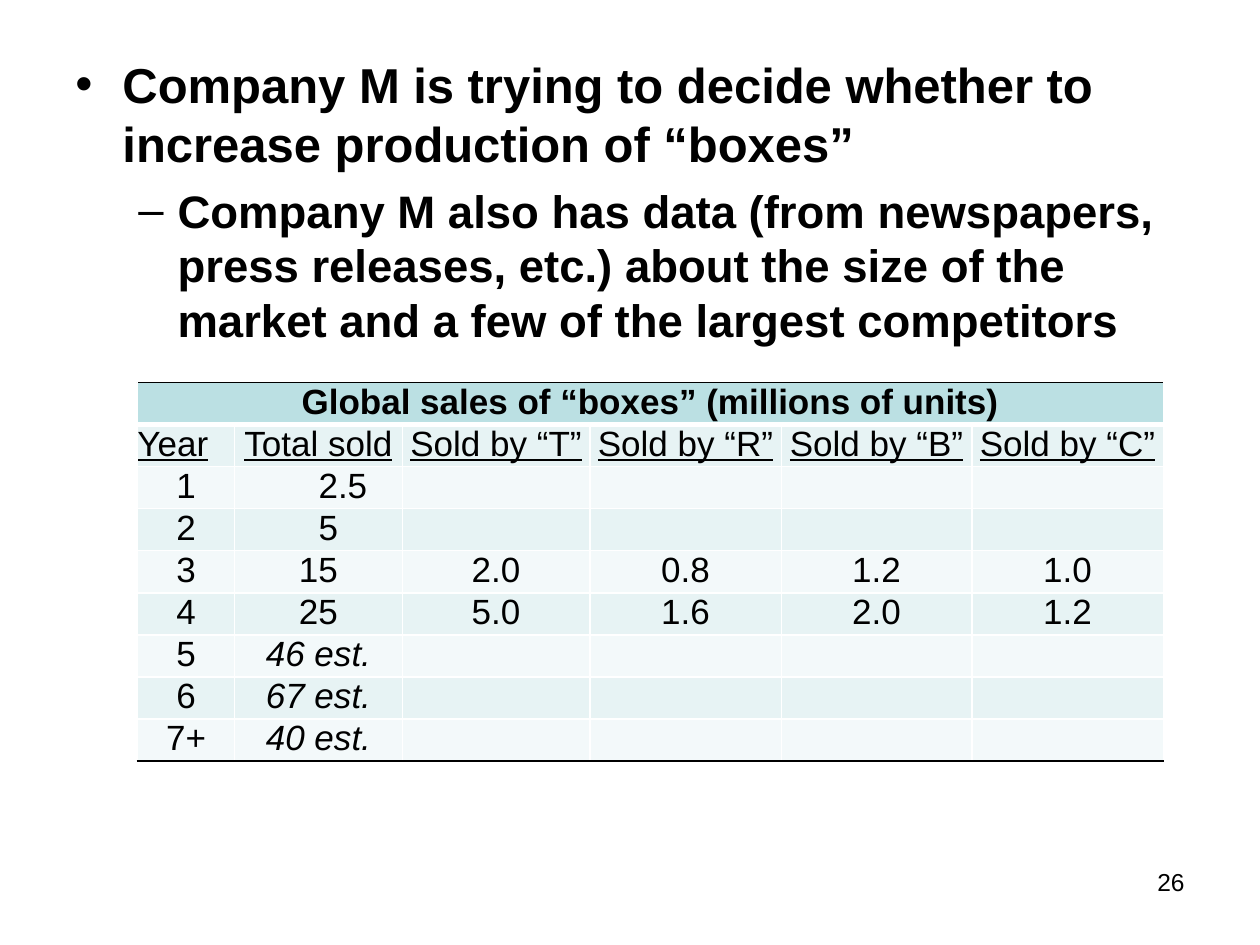
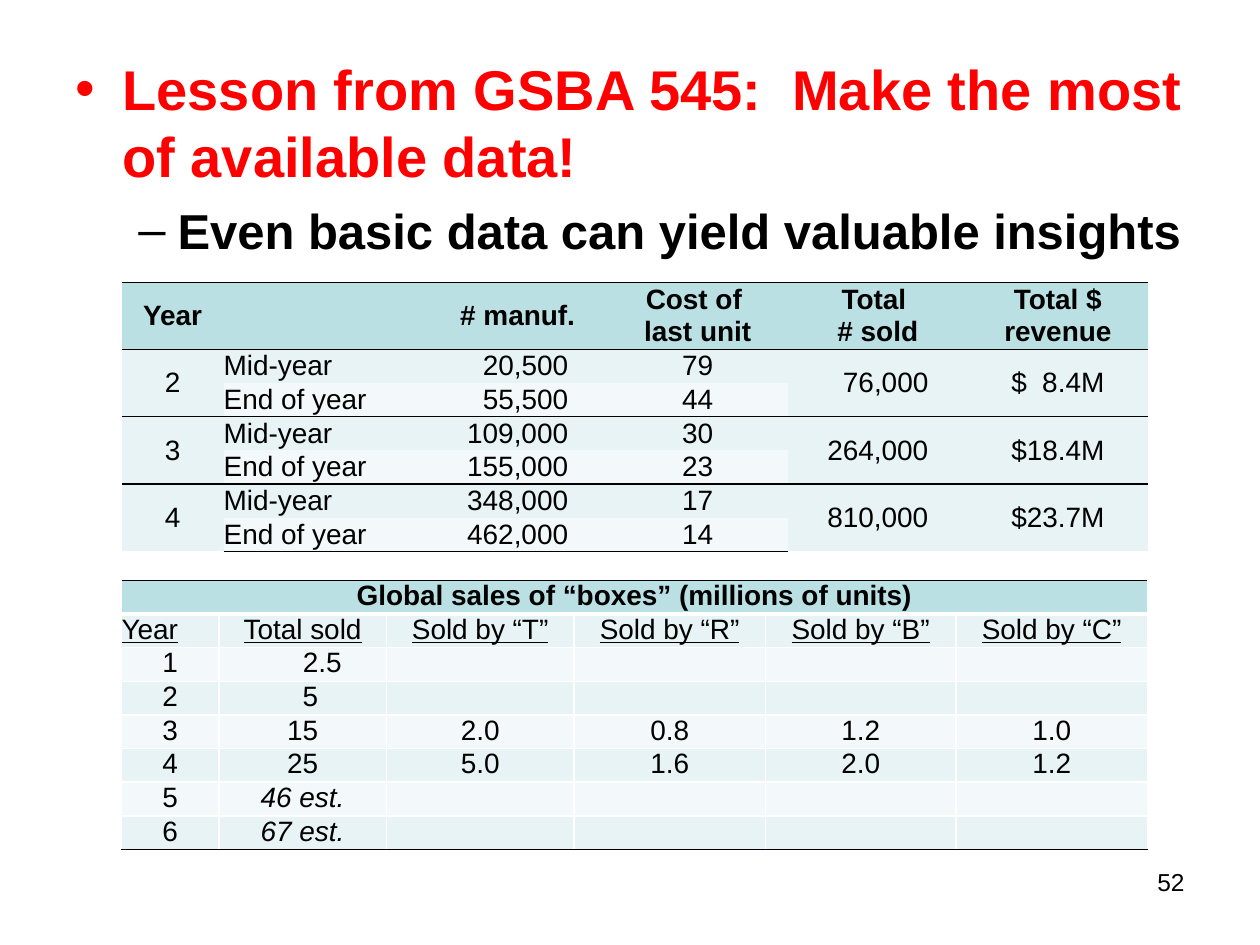
from lxml.etree import SubElement
from pptx import Presentation
from pptx.dml.color import RGBColor
from pptx.enum.text import MSO_ANCHOR as Anchor, PP_ALIGN as Align
from pptx.oxml.ns import qn
from pptx.util import Cm, Pt

FONT = "Arial"
COLOURS = {
    "text": "000000",
    "accent": "FF0000",
    "paper": "FFFFFF",
    "header": "BBE0E3",
    "band_dark": "E7F3F4",
    "band_light": "F3F9FA",
}
RULE = ("text", 1)
GRID = ("paper", 1)
THICK_GRID = ("paper", 3)
SPACE_WIDTH = 0.28   # em
LINE_CM = 0.0394     # height of a table line for each point of text

BODY_BOX = (1.27, 0.97, 22.86, 16.18)
NUMBER_BOX = (18.21, 17.35, 5.92, 1.32)
# bullet, left margin and hanging indent of each outline level
LEVELS = [("•", 0.95, 0.95), ("–", 2.06, 0.79)]

SALES_COLUMNS = [1.96, 3.38, 3.78, 3.86, 3.84, 3.86]
SALES_TITLE = "Global sales of “boxes” (millions of units)"
SALES_HEADINGS = ["Year", "Total sold"] + [f"Sold by “{firm}”" for firm in "TRBC"]
# A pair is a text and the number of space widths it is pushed right
SALES_ROWS = [
    ["1", ("2.5", 5)],
    ["2", ("5", 2)],
    ["3", "15", "2.0", "0.8", "1.2", "1.0"],
    ["4", "25", "5.0", "1.6", "2.0", "1.2"],
    ["5", "46 est."],
    ["6", "67 est."],
    ["7+", "40 est."],
]

COST_COLUMNS = [2.06, 4.11] + [3.63] * 4
COST_HEADINGS = ["Year", "", "# manuf.", "Cost of \nlast unit",
                 "Total \n# sold", "Total $ revenue"]
# year, mid-year and end-of-year (manufactured, cost), sold, revenue
COST_YEARS = [
    ("2", (("20,500", 2), "79"), (("55,500", 2), "44"), ("76,000", 2), "$  8.4M"),
    ("3", ("109,000", "30"), ("155,000", "23"), "264,000", "$18.4M"),
    ("4", ("348,000", "17"), ("462,000", "14"), "810,000", "$23.7M"),
]


def rgb(name):
    return RGBColor.from_string(COLOURS[name])


def add_run(paragraph, text, size, colour="text", bold=False, italic=False,
            underline=False):
    run = paragraph.add_run()
    run.text = text
    font = run.font
    font.name, font.size, font.bold = FONT, Pt(size), bold
    font.italic, font.underline = italic, underline
    font.color.rgb = rgb(colour)


def add_text_box(slide, box):
    shape = slide.shapes.add_textbox(*map(Cm, box))
    shape.text_frame.word_wrap = True
    return shape


def add_outline(slide, box, points):
    """Bulleted text; each point is (level, size, colour, text)."""
    shape = add_text_box(slide, box)
    shape.fill.solid()
    shape.fill.fore_color.rgb = rgb("paper")
    colour_element = shape.fill._xPr.find(".//" + qn("a:srgbClr"))
    SubElement(colour_element, qn("a:alpha"), val="90000")
    frame = shape.text_frame
    for index, (level, size, colour, text) in enumerate(points):
        paragraph = frame.add_paragraph() if index else frame.paragraphs[0]
        paragraph.level = level
        paragraph.line_spacing = Pt(round(size * 1.2, 1))
        paragraph.space_before = Pt(round(size * 0.24, 1))
        bullet, margin, hanging = LEVELS[level]
        properties = paragraph._p.get_or_add_pPr()
        properties.set("marL", str(Cm(margin)))
        properties.set("indent", str(-Cm(hanging)))
        SubElement(properties, qn("a:buFont"), typeface=FONT)
        SubElement(properties, qn("a:buChar"), char=bullet)
        add_run(paragraph, text, size, colour, bold=True)


def add_slide_number(slide, box, number):
    paragraph = add_text_box(slide, box).text_frame.paragraphs[0]
    paragraph.alignment = Align.RIGHT
    add_run(paragraph, str(number), 14)


def set_border(cell, side, border):
    """Draw one side ("L", "R", "T" or "B") as (colour, points) or leave it bare."""
    line = SubElement(cell._tc.get_or_add_tcPr(), qn(f"a:ln{side}"))
    if border is None:
        SubElement(line, qn("a:noFill"))
        return
    colour, width = border
    line.set("w", str(Pt(width)))
    fill = SubElement(line, qn("a:solidFill"))
    SubElement(fill, qn("a:srgbClr"), val=COLOURS[colour])


def add_table(slide, left, top, columns, row_heights, horizontals, vertical):
    """Banded empty table; horizontals lists the border above each row and the last."""
    frame = slide.shapes.add_table(
        len(row_heights), len(columns), Cm(left), Cm(top),
        Cm(sum(columns)), Cm(sum(row_heights)))
    table = frame.table
    table.first_row = table.horz_banding = False
    for column, width in zip(table.columns, columns):
        column.width = Cm(width)
    for index, (row, height) in enumerate(zip(table.rows, row_heights)):
        row.height = Cm(height)
        band = "band_dark" if index % 2 else "band_light"
        for cell in row.cells:
            for side, border in (("L", vertical), ("R", vertical),
                                 ("T", horizontals[index]),
                                 ("B", horizontals[index + 1])):
                set_border(cell, side, border)
            cell.fill.solid()
            cell.fill.fore_color.rgb = rgb(band if index else "header")
    return table


def fill_cell(cell, content, size, align=Align.CENTER, anchor=Anchor.TOP, **style):
    text, pad = content if isinstance(content, tuple) else (content, 0)
    cell.margin_left = Pt(round(pad * SPACE_WIDTH * size, 1))
    cell.margin_right = cell.margin_top = cell.margin_bottom = 0
    cell.vertical_anchor = anchor
    frame = cell.text_frame
    for index, line in enumerate(text.split("\n")):
        paragraph = frame.add_paragraph() if index else frame.paragraphs[0]
        paragraph.alignment = align
        if line:
            add_run(paragraph, line, size, **style)
        else:
            paragraph._p.get_or_add_endParaRPr().set("sz", str(size * 100))


def add_sales_table(slide, left, top, size, years):
    row_count = years + 2
    horizontals = [RULE, THICK_GRID] + [GRID] * years + [RULE]
    table = add_table(slide, left, top, SALES_COLUMNS,
                      [round(size * LINE_CM, 2)] * row_count, horizontals, GRID)
    rows = [[SALES_TITLE], SALES_HEADINGS] + SALES_ROWS[:years]
    for row_index, row in enumerate(rows):
        padded = row + [""] * (len(SALES_COLUMNS) - len(row))
        for column_index, content in enumerate(padded):
            heading = row_index == 1
            fill_cell(table.cell(row_index, column_index), content, size,
                      align=Align.LEFT if heading and column_index == 0 else Align.CENTER,
                      bold=row_index == 0, underline=heading,
                      italic="est." in content)
    table.cell(0, 0).merge(table.cell(0, len(SALES_COLUMNS) - 1))


def add_cost_table(slide, left, top, size):
    line = round(size * LINE_CM, 2)
    horizontals = [RULE] + [RULE, None] * len(COST_YEARS) + [RULE]
    table = add_table(slide, left, top, COST_COLUMNS,
                      [2 * line] + [line] * 2 * len(COST_YEARS), horizontals, None)
    rows = [COST_HEADINGS]
    for year, middle, end, sold, revenue in COST_YEARS:
        rows.append([year, "Mid-year", *middle, sold, revenue])
        rows.append(["", "End of year", *end, "", ""])
    for row_index, row in enumerate(rows):
        for column_index, content in enumerate(row):
            fill_cell(table.cell(row_index, column_index), content, size,
                      align=Align.LEFT if column_index == 1 else Align.CENTER,
                      anchor=Anchor.MIDDLE, bold=row_index == 0)
    for row_index in range(1, len(rows), 2):
        for column_index in (0, 4, 5):
            table.cell(row_index, column_index).merge(
                table.cell(row_index + 1, column_index))


def add_base_slide(presentation, number, points):
    slide = presentation.slides.add_slide(presentation.slide_layouts[6])
    add_outline(slide, BODY_BOX, points)
    add_slide_number(slide, NUMBER_BOX, number)
    return slide


def main():
    presentation = Presentation()
    presentation.slide_width, presentation.slide_height = Cm(25.4), Cm(19.05)

    market = add_base_slide(presentation, 26, [
        (0, 28, "text", "Company M is trying to decide whether to increase "
                        "production of “boxes”"),
        (1, 26, "text", "Company M also has data (from newspapers, press releases, "
                        "etc.) about the size of the market and a few of the "
                        "largest competitors"),
    ])
    add_sales_table(market, 2.77, 7.71, size=20, years=7)

    lesson = add_base_slide(presentation, 52, [
        (0, 32, "accent", "Lesson from GSBA 545:  Make the most of available data!"),
        (1, 28, "text", "Even basic data can yield valuable insights"),
    ])
    add_cost_table(lesson, 2.45, 5.69, size=16)
    add_sales_table(lesson, 2.45, 11.7, size=16, years=6)

    presentation.save("out.pptx")


if __name__ == "__main__":
    main()
